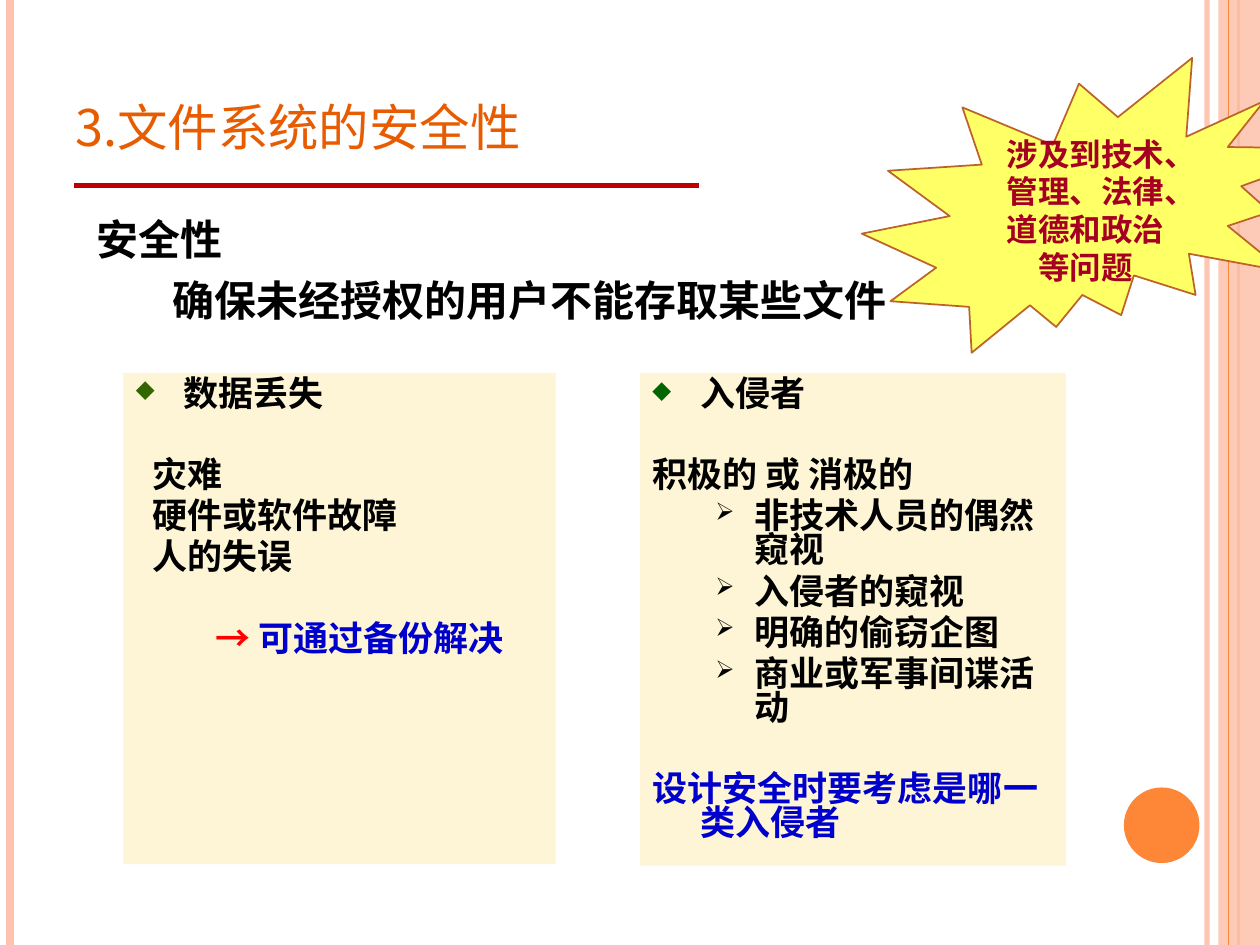
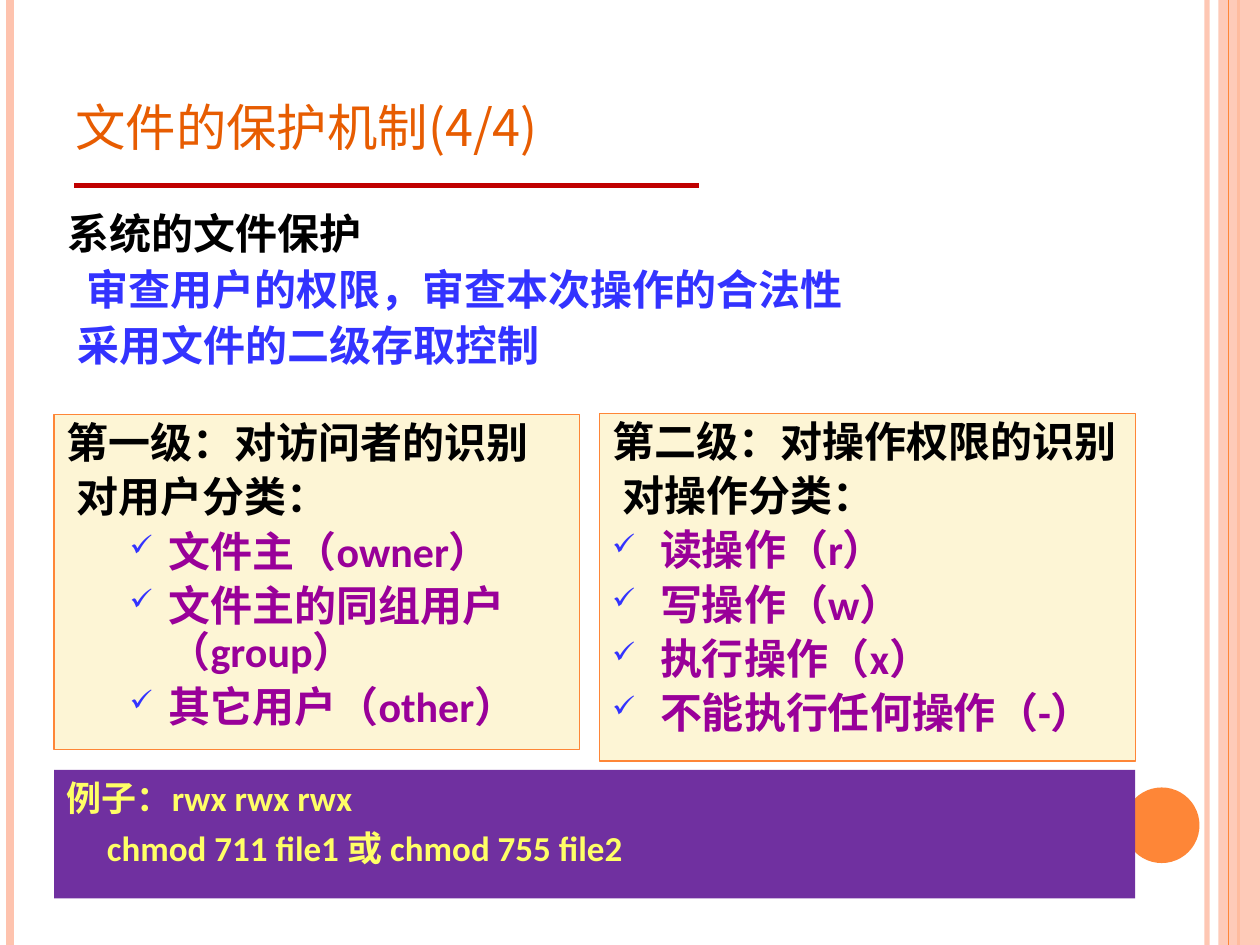
from dataclasses import dataclass, replace
from typing import Optional

from lxml.etree import SubElement
from pptx import Presentation
from pptx.dml.color import RGBColor
from pptx.enum.shapes import MSO_CONNECTOR as Connector, MSO_SHAPE as Shape
from pptx.enum.text import MSO_ANCHOR as Anchor, PP_ALIGN as Align
from pptx.oxml.ns import qn
from pptx.util import Inches, Pt


@dataclass(frozen=True)
class Theme:
    title: str = "E75C01"
    rule: str = "C00000"
    orange: str = "FE8637"
    peach: str = "FEC3AE"
    cream: str = "FDF5D5"
    black: str = "000000"
    navy: str = "0000CC"
    blue: str = "3333FF"
    purple: str = "990099"
    violet: str = "7030A0"
    yellow: str = "FFFF66"
    red: str = "FF0000"
    crimson: str = "A50021"
    brown: str = "BC6329"
    forest: str = "336600"
    green: str = "006600"
    cjk: str = "Noto Sans CJK SC"
    serif: str = "Times New Roman"
    sans: str = "Calibri"
    title_size: float = 36
    head_size: float = 24
    text_size: float = 20
    note_size: float = 18


THEME = Theme()


@dataclass(frozen=True)
class Area:
    left: float
    top: float
    width: float
    height: float

    def lengths(self) -> tuple:
        return tuple(Inches(v) for v in (self.left, self.top, self.width, self.height))


@dataclass(frozen=True)
class Rule:
    start: tuple
    end: tuple
    color: str
    width: float
    opacity: int = 100


@dataclass(frozen=True)
class Style:
    size: float
    font: str
    color: str = THEME.black
    bold: bool = True
    pitch: Optional[float] = None
    before: float = 0
    small_caps: bool = False
    align: Align = Align.LEFT


@dataclass(frozen=True)
class Bullet:
    symbol: str
    color: str = THEME.black


@dataclass(frozen=True)
class Line:
    text: str
    color: Optional[str] = None
    margin: float = 0
    indent: float = 0
    bullet: Optional[Bullet] = None
    before: Optional[float] = None
    lead: str = ""
    lead_color: str = THEME.red


RULES = [
    Rule((9.58, 0), (9.58, 7.5), THEME.peach, 3, 93),
    Rule((0.08, 0), (0.08, 7.5), THEME.peach, 4.5),
    Rule((9.83, 0), (9.83, 7.5), THEME.orange, 1.5),
]
INNER_RULE = Rule((9.75, 0), (9.75, 7.5), THEME.orange, 0.75)
TITLE_RULE = Rule((0.59, 1.47), (5.55, 1.47), THEME.rule, 3)

TITLE = Style(THEME.title_size, THEME.cjk, THEME.title, bold=False, small_caps=True)
GOAL = Style(THEME.head_size, THEME.serif, pitch=29, before=6)
THREAT = Style(THEME.text_size, THEME.cjk, pitch=19.5, before=4)
SEAL = Style(THEME.note_size, THEME.cjk, THEME.crimson, pitch=21.6, align=Align.CENTER)
ACCESS = Style(THEME.head_size, THEME.sans, pitch=26, before=6)
LEVEL = replace(ACCESS, pitch=26.5, before=4.5)
EXAMPLE = Style(THEME.text_size, THEME.sans, THEME.yellow, pitch=24.5, before=4)
SECTION_GAP = 27


def top_item(text: str, symbol: str, bullet_color: str, color: Optional[str] = None) -> Line:
    return Line(text, color, 0.38, -0.38, Bullet(symbol, bullet_color))


def sub_item(text: str, symbol: str, bullet_color: str, color: Optional[str] = None) -> Line:
    return Line(text, color, 0.81, -0.31, Bullet(symbol, bullet_color))


def set_opacity(fill, percent: int) -> None:
    if percent < 100:
        color = fill._xPr.find(qn("a:solidFill"))[0]
        SubElement(color, qn("a:alpha")).set("val", str(percent * 1000))


def add_rule(page, rule: Rule) -> None:
    ends = [Inches(v) for v in rule.start + rule.end]
    connector = page.shapes.add_connector(Connector.STRAIGHT, *ends)
    connector.line.color.rgb = RGBColor.from_string(rule.color)
    connector.line.width = Pt(rule.width)
    set_opacity(connector.line.fill, rule.opacity)
    SubElement(connector._element.spPr, qn("a:effectLst"))


def add_panel(page, area: Area, fill: str, kind: Shape = Shape.RECTANGLE,
              line: Optional[str] = None, line_width: float = 0.75, opacity: int = 100):
    panel = page.shapes.add_shape(kind, *area.lengths())
    panel.shadow.inherit = False
    panel.fill.solid()
    panel.fill.fore_color.rgb = RGBColor.from_string(fill)
    set_opacity(panel.fill, opacity)
    if line:
        panel.line.color.rgb = RGBColor.from_string(line)
        panel.line.width = Pt(line_width)
    else:
        panel.line.fill.background()
    return panel


def add_span(para, text: str, *, style: Style, color: str) -> None:
    span = para.add_run()
    span.text = text
    span.font.name = style.font
    span.font.size = Pt(style.size)
    span.font.bold = style.bold
    span.font.color.rgb = RGBColor.from_string(color)
    properties = span._r.get_or_add_rPr()
    SubElement(properties, qn("a:ea")).set("typeface", THEME.cjk)
    if style.small_caps:
        properties.set("cap", "small")


def set_indent(para, line: Line) -> None:
    properties = para._p.get_or_add_pPr()
    properties.set("marL", str(Inches(line.margin)))
    properties.set("indent", str(Inches(line.indent)))
    if line.bullet:
        color = SubElement(properties, qn("a:buClr"))
        SubElement(color, qn("a:srgbClr")).set("val", line.bullet.color)
        SubElement(properties, qn("a:buSzPct")).set("val", "70000")
        SubElement(properties, qn("a:buChar")).set("char", line.bullet.symbol)
    else:
        SubElement(properties, qn("a:buNone"))


def write(box, lines: list, *, style: Style, anchor: Anchor = Anchor.TOP) -> None:
    frame = box.text_frame
    frame.word_wrap = True
    frame.vertical_anchor = anchor
    for number, line in enumerate(lines):
        para = frame.add_paragraph() if number else frame.paragraphs[0]
        set_indent(para, line)
        para.alignment = style.align
        if style.pitch:
            para.line_spacing = Pt(style.pitch)
        if number:
            para.space_before = Pt(style.before if line.before is None else line.before)
        if line.lead:
            add_span(para, line.lead, style=style, color=line.lead_color)
        add_span(para, line.text, style=style, color=line.color or style.color)


def add_text(page, area: Area, lines: list, *, style: Style, anchor: Anchor = Anchor.TOP) -> None:
    write(page.shapes.add_textbox(*area.lengths()), lines, style=style, anchor=anchor)


def add_page(deck, title: str):
    page = deck.slides.add_slide(deck.slide_layouts[6])
    for rule in RULES:
        add_rule(page, rule)
    add_panel(page, Area(9.67, 0, 0.33, 7.5), THEME.peach, opacity=87)
    add_rule(page, INNER_RULE)
    add_panel(page, Area(8.92, 6.25, 0.6, 0.6), THEME.orange, Shape.OVAL)
    add_rule(page, TITLE_RULE)
    add_text(page, Area(0.5, 0.3, 8.17, 1.01), [Line(title)], style=TITLE, anchor=Anchor.BOTTOM)
    return page


def build_security(deck) -> None:
    page = add_page(deck, "3.文件系统的安全性")
    goal = [Line("安全性"), Line("确保未经授权的用户不能存取某些文件", margin=0.6)]
    add_text(page, Area(0.67, 1.64, 8.1, 1.1), goal, style=GOAL)
    seal = add_panel(page, Area(6.84, 0.46, 3.83, 2.34), THEME.yellow,
                     Shape.EXPLOSION2, THEME.brown, 1)
    write(seal, [Line("涉及到技术、管理、法律、道德和政治等问题")], style=SEAL, anchor=Anchor.MIDDLE)

    losses = ["灾难", "硬件或软件故障", "人的失误"]
    loss = add_panel(page, Area(0.98, 2.96, 3.43, 3.9), THEME.cream)
    write(loss, [
        top_item("数据丢失", "◆", THEME.forest),
        *(Line(text, margin=0.13, before=None if number else SECTION_GAP)
          for number, text in enumerate(losses)),
        Line("可通过备份解决", THEME.navy, 0.63, before=SECTION_GAP, lead="→ "),
    ], style=THREAT)

    intrusions = ["非技术人员的偶然窥视", "入侵者的窥视", "明确的偷窃企图", "商业或军事间谍活动"]
    intruder = add_panel(page, Area(5.08, 2.96, 3.38, 3.91), THEME.cream)
    write(intruder, [
        top_item("入侵者", "◆", THEME.green),
        Line("积极的 或 消极的", before=SECTION_GAP),
        *(sub_item(text, "➢", THEME.black) for text in intrusions),
        Line("设计安全时要考虑是哪一类入侵者", THEME.navy, 0.38, -0.38, before=SECTION_GAP),
    ], style=THREAT)


def build_protection(deck) -> None:
    page = add_page(deck, "文件的保护机制(4/4)")
    add_text(page, Area(0.44, 1.64, 8.1, 1.5), [
        Line("系统的文件保护"),
        Line("审查用户的权限，审查本次操作的合法性", THEME.blue, 0.15),
        Line("采用文件的二级存取控制", THEME.blue, 0.08),
    ], style=ACCESS)

    levels = [
        (Area(0.43, 3.29, 4.17, 2.66), "第一级：对访问者的识别", "对用户分类：", sub_item,
         ["文件主（owner）", "文件主的同组用户（group）", "其它用户（other）"]),
        (Area(4.76, 3.28, 4.25, 2.76), "第二级：对操作权限的识别", "对操作分类：", top_item,
         ["读操作（r）", "写操作（w）", "执行操作（x）", "不能执行任何操作（-）"]),
    ]
    for area, heading, caption, item, texts in levels:
        panel = add_panel(page, area, THEME.cream, line=THEME.orange)
        items = [item(text, "✓", THEME.blue, THEME.purple) for text in texts]
        write(panel, [Line(heading), Line(caption, margin=0.08), *items], style=LEVEL)

    example = add_panel(page, Area(0.43, 6.11, 8.58, 1.02), THEME.violet)
    write(example, [
        Line("例子：rwx rwx rwx"),
        Line("chmod 711 file1 或 chmod 755 file2", margin=0.32),
    ], style=EXAMPLE)


def main() -> None:
    deck = Presentation()
    deck.slide_width, deck.slide_height = Inches(10), Inches(7.5)
    build_security(deck)
    build_protection(deck)
    deck.save("out.pptx")


if __name__ == "__main__":
    main()
